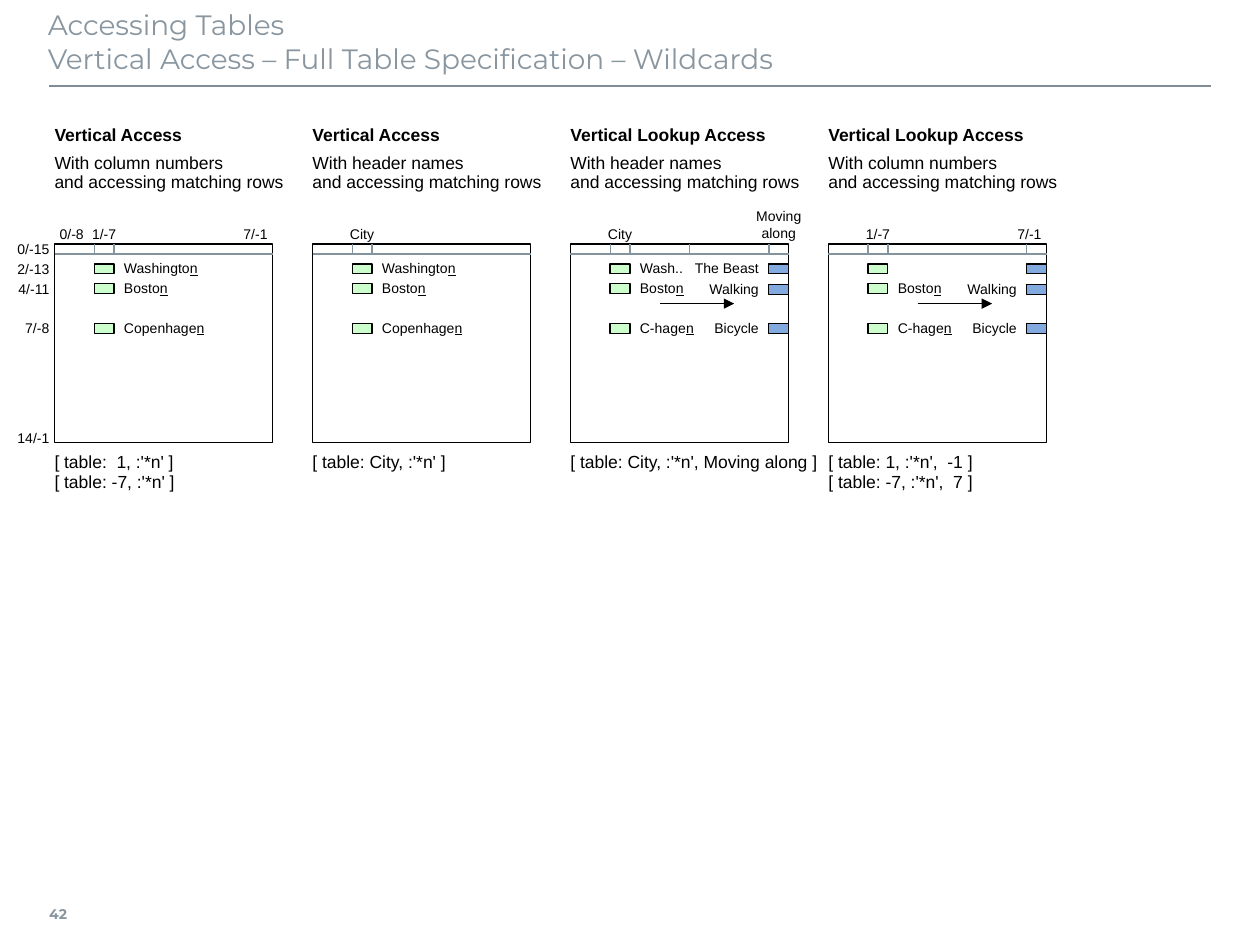
from lxml import etree
from pptx import Presentation
from pptx.dml.color import RGBColor
from pptx.enum.shapes import MSO_CONNECTOR, MSO_SHAPE
from pptx.enum.text import MSO_ANCHOR, PP_ALIGN
from pptx.oxml.ns import qn
from pptx.util import Inches, Mm, Pt

LEFT, MID, RIGHT = PP_ALIGN.LEFT, PP_ALIGN.CENTER, PP_ALIGN.RIGHT
TOP, CENTRE = MSO_ANCHOR.TOP, MSO_ANCHOR.MIDDLE
RECT, LINE = MSO_SHAPE.RECTANGLE, MSO_CONNECTOR.STRAIGHT

HEX = {"ink": "000000", "grid": "85939D", "rule": "808D97", "title": "8996A0",
       "city": "CCFFCC", "move": "83AADE"}

TITLE = "Accessing Tables\vVertical Access – Full Table Specification – Wildcards"
PAGE = "42"
MATCH = "and accessing matching rows"
NUMS, NAMES = "With column numbers", "With header names"

# Rows are (grid row, label); cols are (text, column, width, row, align).
ROWS = [(0, "0/-15"), (2, "2/-13"), (4, "4/-11"), (8, "7/-8"), (19, "14/-1")]
CITIES = [(2, "Washington"), (4, "Boston"), (8, "Copenhagen")]
PANELS = [
    {"head": "Vertical Access", "sub": NUMS, "cities": CITIES, "moves": [],
     "cols": [("0/-8", 0, 4, -2, LEFT), ("1/-7", 3, 4, -2, MID),
              ("7/-1", 18, 4, -2, RIGHT)],
     "ticks": [4, 6], "code": "[ table:  1, :'*n' ]\n[ table: -7, :'*n' ]"},
    {"head": "Vertical Access", "sub": NAMES, "cities": CITIES, "moves": [],
     "cols": [("City", 3, 4, -2, MID)],
     "ticks": [4, 6], "code": "[ table: City, :'*n' ]"},
    {"head": "Vertical Lookup Access", "sub": NAMES,
     "cities": [(2, "Wash.."), (4, "Boston"), (8, "C-hagen")],
     "moves": [(2, "The Beast"), (4.1, "Walking"), (8, "Bicycle")],
     "cols": [("City", 3, 4, -2, MID), ("Moving\nalong", 18, 6, -3, MID)],
     "ticks": [4, 6, 12, 20], "code": "[ table: City, :'*n', Moving along ]"},
    {"head": "Vertical Lookup Access", "sub": NUMS,
     "cities": [(2, ""), (4, "Boston"), (8, "C-hagen")],
     "moves": [(2, ""), (4.1, "Walking"), (8, "Bicycle")],
     "cols": [("1/-7", 3, 4, -2, MID), ("7/-1", 18, 4, -2, RIGHT)],
     "ticks": [4, 6, 20],
     "code": "[ table: 1, :'*n',  -1 ]\n[ table: -7, :'*n',  7 ]"},
]

# Every panel sits on a 2 mm grid.
UNIT = Mm(2)
WIDE, HIGH, PITCH = 22, 20, 26
EDGE, BASE = 5.5 * UNIT, 24.6 * UNIT

deck = Presentation()
deck.slide_width, deck.slide_height = Inches(10), Inches(7.5)
slide = deck.slides.add_slide(deck.slide_layouts[5])
shapes = slide.shapes


def spot(num, x, y):
    """Slide position of a grid point in panel num."""
    return int(EDGE + (num * PITCH + x) * UNIT), int(BASE + y * UNIT)


def area(num, x, y, w, h):
    return *spot(num, x, y), int(w * UNIT), int(h * UNIT)


def write(box, text, size=10, font="Arial", color="ink", bold=None, align=LEFT,
          anchor=CENTRE, inset=(0, 0, 0, 0), space=None, wrap=False, mark=False):
    """Fill the box with text; mark underlines a final n."""
    frame = box.text_frame
    frame.word_wrap, frame.vertical_anchor = wrap, anchor
    (frame.margin_left, frame.margin_top,
     frame.margin_right, frame.margin_bottom) = map(Inches, inset)
    for i, line in enumerate(text.split("\n")):
        para = frame.add_paragraph() if i else frame.paragraphs[0]
        para.alignment = align
        if space:
            para.line_spacing = space
        if mark and line.endswith("n"):
            para.add_run().text = line[:-1]
            last = para.add_run()
            last.text, last.font.underline = "n", True
        else:
            para.text = line
        for run in para.runs:
            run.font.size, run.font.name, run.font.bold = Pt(size), font, bold
            run.font.color.rgb = RGBColor.from_string(HEX[color])


def label(text, place, **fmt):
    write(shapes.add_textbox(*place), text, **fmt)


def stroke(start, end, color="grid", width=0.75, arrow=False):
    line = shapes.add_connector(LINE, *start, *end)
    line.line.color.rgb = RGBColor.from_string(HEX[color])
    line.line.width = Pt(width)
    if arrow:
        etree.SubElement(line.line._get_or_add_ln(), qn("a:tailEnd"), type="triangle")
    etree.SubElement(line._element.spPr, qn("a:effectLst"))


def block(place, fill=None):
    box = shapes.add_shape(RECT, *place)
    box.shadow.inherit = False
    if fill:
        box.fill.solid()
        box.fill.fore_color.rgb = RGBColor.from_string(HEX[fill])
    else:
        box.fill.background()
    box.line.color.rgb = RGBColor.from_string(HEX["ink"])
    box.line.width = Pt(0.75)


def draw(num, panel):
    label(panel["head"], area(num, 0, -12, WIDE, 2), bold=True)
    label(panel["sub"] + "\n" + MATCH, area(num, 0, -9, PITCH, 5),
          anchor=TOP, space=0.9)
    block(area(num, 0, 0, WIDE, HIGH))
    stroke(spot(num, 0, 1), spot(num, WIDE, 1))
    for x in panel["ticks"]:
        stroke(spot(num, x, 0), spot(num, x, 1))
    for text, x, w, y, align in panel["cols"]:
        label(text, area(num, x, y, w, 2), align=align, **SMALL)
    room = 6 if panel["moves"] else 9
    for kind, fill, col, left, wide, align in (("cities", "city", 4, 7, room, LEFT),
                                               ("moves", "move", 20, 12, 7, RIGHT)):
        for row, text in panel[kind]:
            block(area(num, col, row, 2, 1), fill)
            if text:
                label(text, area(num, left, row - 1, wide, 3), size=8,
                      align=align, space=0.95, mark=kind == "cities")
    if panel["moves"]:
        stroke(spot(num, 9, 6), spot(num, 16.5, 6), color="ink", arrow=True)
    label(panel["code"], area(num, 0, 21, PITCH, 7), anchor=TOP, space=0.95)


SMALL = {"size": 8, "inset": (0.04,) * 4}
BRAND = {"font": "Montserrat", "color": "title"}

title = shapes.title
title.left, title.top, title.width, title.height = map(Inches, (0.38, 0.01, 9.21, 0.63))
write(title, TITLE, size=16, anchor=TOP, inset=(0, 0.05, 0.1, 0.05), wrap=True, **BRAND)
stroke(map(Inches, (0.39, 0.68)), map(Inches, (9.61, 0.68)), color="rule", width=1)
label(PAGE, map(Inches, (0.39, 7.06, 0.35, 0.39)), size=8, bold=True,
      inset=(0, 0.05, 0.08, 0.05), **BRAND)

for num, panel in enumerate(PANELS):
    draw(num, panel)
for row, text in ROWS:
    label(text, area(0, -5, row, 5, 1), align=RIGHT, **SMALL)

deck.save("out.pptx")
